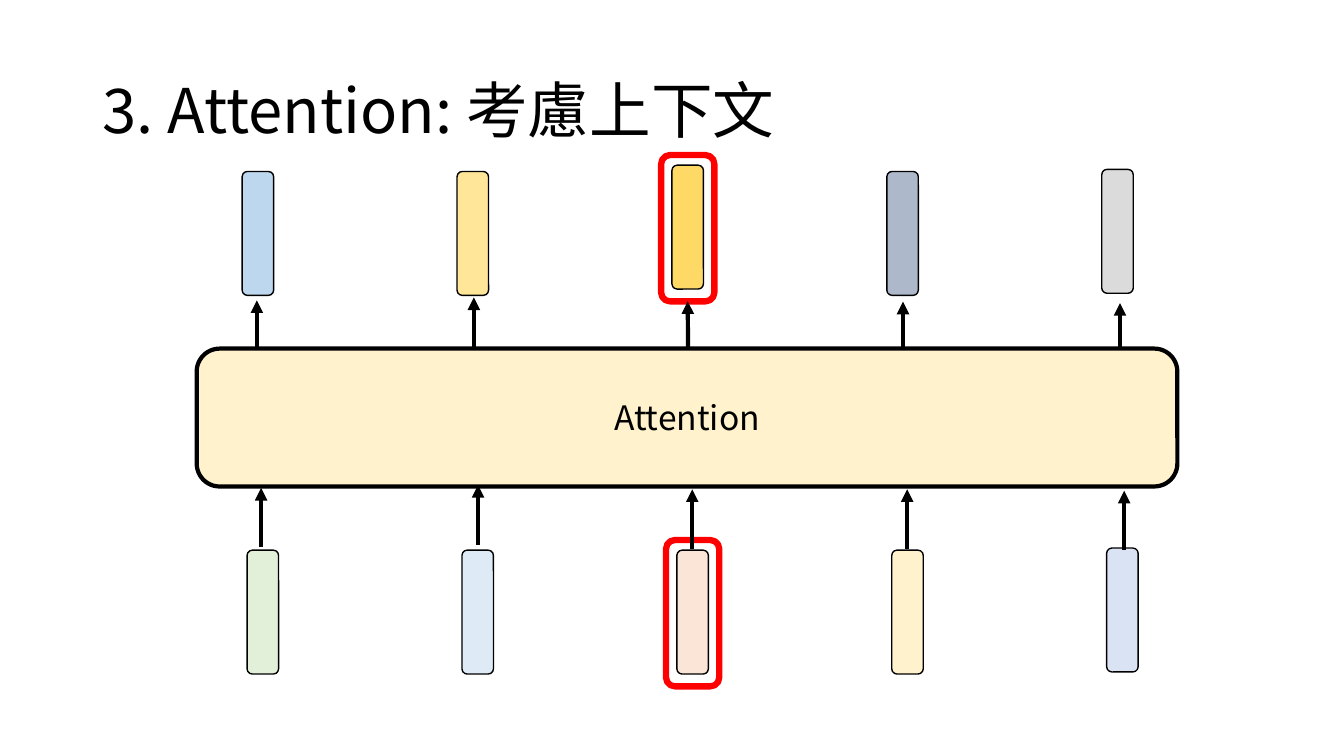
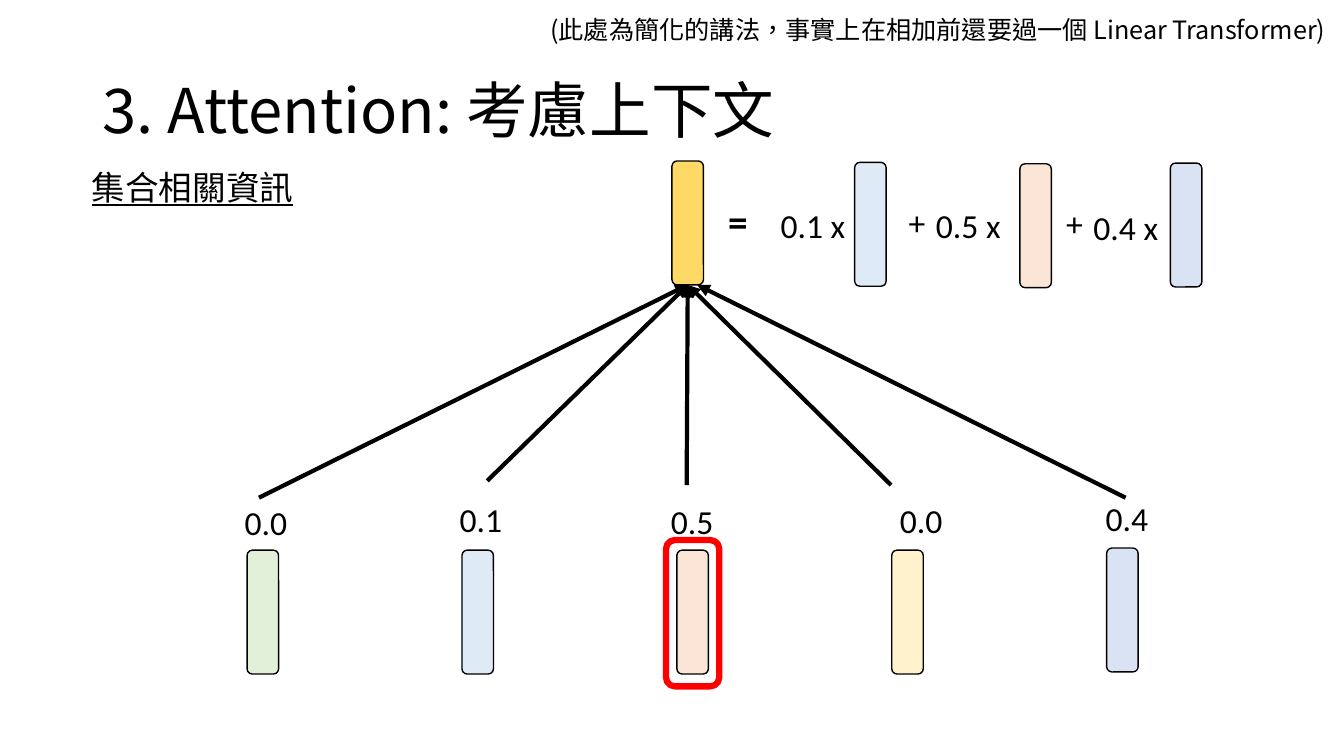
from lxml.etree import SubElement as Sub
from pptx import Presentation
from pptx.dml.color import RGBColor
from pptx.enum.shapes import MSO_CONNECTOR as Link, MSO_SHAPE as Form
from pptx.enum.text import MSO_ANCHOR as Anchor, MSO_AUTO_SIZE as Fit, PP_ALIGN as Align
from pptx.oxml.ns import qn
from pptx.util import Pt

NOTO, LATIN = "Noto Sans CJK SC", "Calibri"
BLACK, RED = "000000", "FF0000"
GREEN, BLUE, PEACH, CREAM, LILAC = "E2F0D9", "DEEBF7", "FBE5D6", "FFF2CC", "DAE3F3"
GOLD = "FFD966"
TOKENS = [GREEN, BLUE, PEACH, CREAM, LILAC]
OUTPUTS = ["BDD7EE", "FFE699", GOLD, "ADB9CA", "DBDBDB"]
TITLE = ["3. Attention: ", "考慮上下文"]
BAR_W, BAR_H, PITCH = 22.5, 88.5, 153.5
ROW_X, ROW_Y = 176.5, 393


def color(code):
    """Turn a hex string into a colour."""
    return RGBColor.from_string(code)


def write(frame, runs, size, face=NOTO, align=Align.LEFT, bold=False, under=False):
    """Fill the first paragraph of a frame run by run."""
    para = frame.paragraphs[0]
    para.alignment = align
    for part in runs:
        run = para.add_run()
        run.text = part
        font = run.font
        font.size, font.name, font.bold = Pt(size), face, bold
        font.underline = under
        font.color.rgb = color(BLACK)
        props = run._r.get_or_add_rPr()
        props.set("lang", "zh-TW")
        Sub(props, qn("a:ea"), typeface=face)
    return para


def label(slide, x, y, w, h, runs, size=24, **style):
    """Place a text box."""
    frame = slide.shapes.add_textbox(Pt(x), Pt(y), Pt(w), Pt(h)).text_frame
    frame.word_wrap = True
    write(frame, runs, size, **style)


def mark(slide, x, y, runs, size=24, w=72, align=Align.CENTER, **style):
    """Place a short number or sign."""
    label(slide, x, y, w, 36, runs, size, face=LATIN, align=align, **style)


def block(slide, x, y, w, h, fill=None, line=BLACK, width=1):
    """Draw a rounded box, hollow when no fill is given."""
    shape = slide.shapes.add_shape(Form.ROUNDED_RECTANGLE, Pt(x), Pt(y), Pt(w), Pt(h))
    shape.shadow.inherit = False
    if fill:
        shape.fill.solid()
        shape.fill.fore_color.rgb = color(fill)
    else:
        shape.fill.background()
    shape.line.color.rgb = color(line)
    shape.line.width = Pt(width)
    return shape


def bar(slide, x, y, fill):
    """Draw one vector bar."""
    return block(slide, x, y, BAR_W, BAR_H, fill)


def ring(slide, x, y):
    """Draw the red frame around the bar at the given place."""
    return block(slide, x - 7.75, y - 7.25, 38, 104.5, line=RED, width=4.5)


def arrow(slide, x1, y1, x2, y2, goal=None):
    """Draw an arrow, joined to the bottom of the goal if there is one."""
    line = slide.shapes.add_connector(Link.STRAIGHT, Pt(x1), Pt(y1), Pt(x2), Pt(y2))
    if goal is not None:
        line.end_connect(goal, 2)
    line.line.color.rgb = color(BLACK)
    line.line.width = Pt(3)
    Sub(line.line._get_or_add_ln(), qn("a:tailEnd"), type="triangle")
    Sub(line._element.spPr, qn("a:effectLst"))


def row(slide, x, y, fills, shifts):
    """Draw a row of bars and frame the middle one."""
    for i, (fill, dy) in enumerate(zip(fills, shifts)):
        bar(slide, x + i * PITCH, y + dy, fill)
    return ring(slide, x + 2 * PITCH, y + shifts[2])


def tokens(slide):
    """Draw the input row that both slides share."""
    row(slide, ROW_X, ROW_Y, TOKENS, (0, 0, 0, 0, -1.5))


def flow(slide, x, y, goal=None):
    """Draw five upward arrows, the middle one joined to the goal."""
    spots = [(0, -1), (155, -3), (308, 0), (461.5, 0), (616.5, 1)]
    for i, (dx, dy) in enumerate(spots):
        arrow(slide, x + dx, y + dy, x + dx, y + dy - 42.5, goal if i == 2 else None)


def layer(slide, x, y, w, h):
    """Draw the attention layer with its arrows and output row."""
    frame = row(slide, x + 32.5, y - 126.5, OUTPUTS, (0, 0, -4.5, 0, -1.5))
    flow(slide, x + 46, y + h + 44.5)
    flow(slide, x + 43, y + 9, frame)
    box = block(slide, x, y, w, h, CREAM, width=3)
    box.text_frame.vertical_anchor = Anchor.MIDDLE
    write(box.text_frame, ["Attention"], 24, align=Align.CENTER)


def scores(slide, x, y):
    """Write the weight above each input bar."""
    spots = [(0, 3, "0.0"), (153.5, 1, "0.1"), (304.5, 2, "0.5"),
             (468, 1.5, "0.0"), (615, 0, "0.4")]
    for dx, dy, text in spots:
        mark(slide, x + dx, y + dy, [text])


def total(slide, x, y):
    """Draw the weighted sum and return its result bar."""
    goal = bar(slide, x, y, GOLD)
    mark(slide, x - 0.5, y + 22.5, ["="], 28, w=95, bold=True)
    terms = [(70.5, 27.5, "0.1 x", 130.5, 1, BLUE),
             (181.5, 28, "0.5 x", 248.5, 2, PEACH),
             (294, 29, "0.4 x", 356, 1.5, LILAC)]
    for tx, ty, text, bx, by, fill in terms:
        bar(slide, x + bx, y + by, fill)
        mark(slide, x + tx, y + ty, [text], align=Align.LEFT)
    for dx, dy in [(139, 25.5), (251.5, 26.5)]:
        mark(slide, x + dx, y + dy, ["+"])
    return goal


def merge(slide, x, y, goal):
    """Lead the arrows from the weights to the result bar."""
    starts = [(0, 12), (163, 0), (305.5, 3), (451.5, 3)]
    for dx, dy in starts:
        arrow(slide, x + dx, y + dy, x + 306, y - 140, goal)
    arrow(slide, x + 619, y + 12, x + 313, y - 140)


def page(deck):
    """Add a slide with the shared title."""
    slide = deck.slides.add_slide(deck.slide_layouts[5])
    head = slide.shapes.title
    head.left, head.top, head.width, head.height = Pt(66), Pt(28.75), Pt(828), Pt(104.5)
    frame = head.text_frame
    frame.word_wrap = True
    frame.auto_size = Fit.NONE
    frame.vertical_anchor = Anchor.MIDDLE
    write(frame, TITLE, 44).line_spacing = 0.9
    return slide


def context(deck):
    """Build the slide that shows the layer as a whole."""
    slide = page(deck)
    tokens(slide)
    layer(slide, 140.5, 249, 700.5, 98.5)


def weights(deck):
    """Build the slide that shows the weighted sum."""
    slide = page(deck)
    tokens(slide)
    label(slide, 58.5, 115.5, 236, 36, ["集合相關資訊"], under=True)
    label(slide, 386, 6.5, 617, 29,
          ["(", "此處為簡化的講法，事實上在相加前還要過一個", " Linear Transformer)"], 18)
    scores(slide, 154, 352)
    goal = total(slide, 480, 115)
    merge(slide, 185, 343.5, goal)


def main():
    """Build and save the deck."""
    deck = Presentation()
    deck.slide_width, deck.slide_height = Pt(960), Pt(540)
    context(deck)
    weights(deck)
    deck.save("out.pptx")


if __name__ == "__main__":
    main()
